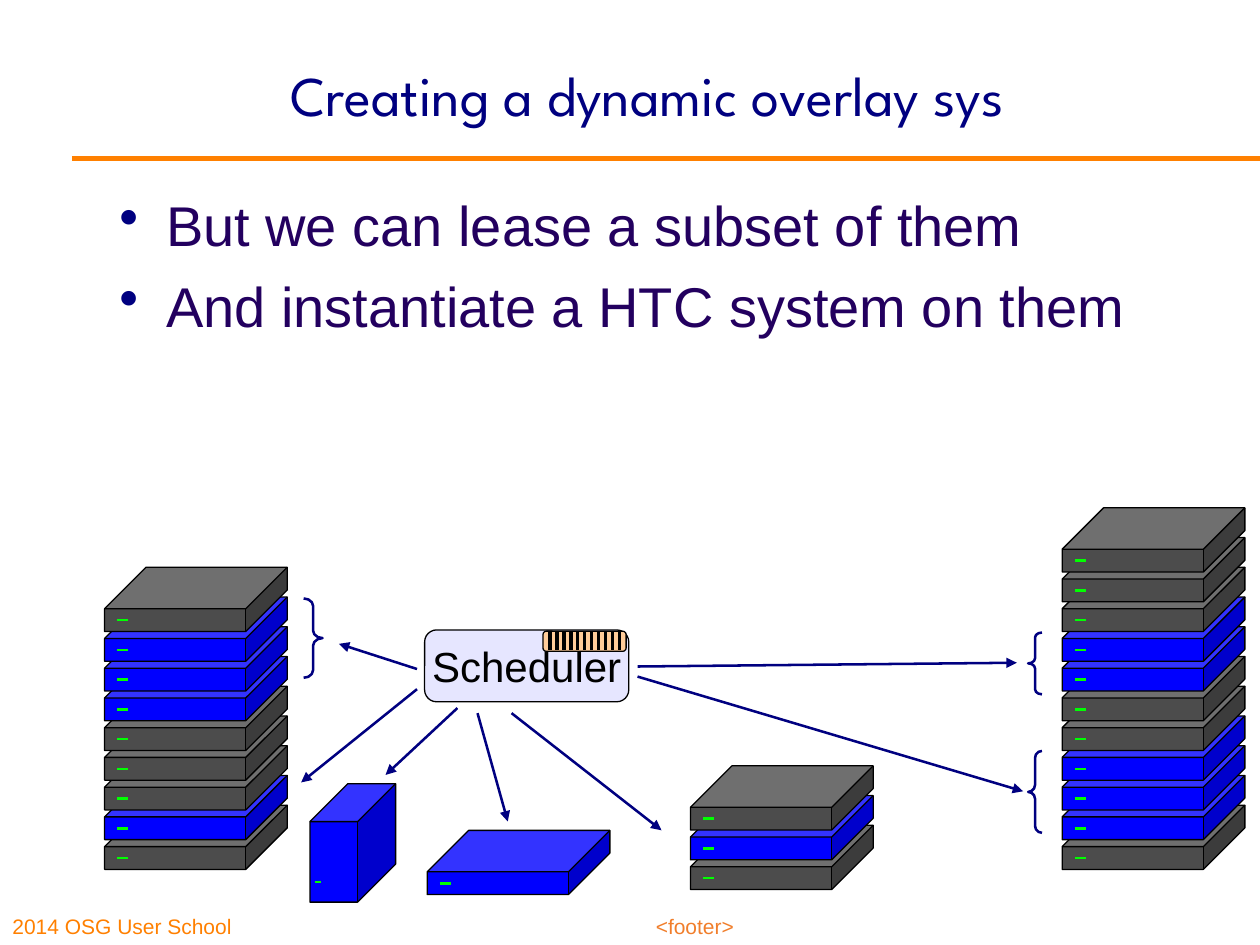
from lxml.etree import SubElement
from pptx import Presentation
from pptx.dml.color import RGBColor
from pptx.enum.shapes import MSO_CONNECTOR, MSO_SHAPE
from pptx.enum.text import MSO_ANCHOR, PP_ALIGN
from pptx.oxml.ns import qn
from pptx.util import Inches, Pt

NAVY, ORANGE, BLACK, GREEN = "000080", "FF8000", "000000", "00FF00"
GRAY, BLUE = "4C4C4C", "0000FF"
STEP = 2.36 / 10


def color(code):
    return RGBColor.from_string(code)


class Page:
    """Draws styled elements on the current slide."""

    def __init__(self, slide):
        self.slide = slide
        self.shapes = slide.shapes

    def label(self, frame, lines, size, tint, face="Arial", align=PP_ALIGN.LEFT,
              anchor=MSO_ANCHOR.TOP, wrap=True, bullet=False):
        frame.word_wrap = wrap
        frame.vertical_anchor = anchor
        for row, line in enumerate(lines):
            para = frame.add_paragraph() if row else frame.paragraphs[0]
            para.text = line
            para.alignment = align
            if row:
                para.space_before = Pt(8)
            if bullet:
                props = para._p.get_or_add_pPr()
                props.set("marL", str(Inches(0.37)))
                props.set("indent", str(Inches(-0.37)))
                mark = SubElement(props, qn("a:buClr"))
                SubElement(mark, qn("a:srgbClr"), val=NAVY)
                SubElement(props, qn("a:buChar"), char="•")
            para.font.size = Pt(size)
            para.font.name = face
            para.font.color.rgb = color(tint)

    def text(self, box, lines, size, tint, **style):
        item = self.shapes.add_textbox(*map(Inches, box))
        self.label(item.text_frame, lines, size, tint, **style)

    def shape(self, kind, box, adjust, fill=None, edge=BLACK, width=0):
        item = self.shapes.add_shape(kind, *map(Inches, box))
        item.shadow.inherit = False
        item.adjustments[0] = adjust
        if fill:
            item.fill.solid()
            item.fill.fore_color.rgb = color(fill)
        else:
            item.fill.background()
        item.line.color.rgb = color(edge)
        item.line.width = Pt(width)
        return item

    def line(self, start, end, tint, width=1.45, arrow=False):
        ends = map(Inches, (*start, *end))
        item = self.shapes.add_connector(MSO_CONNECTOR.STRAIGHT, *ends)
        item.line.color.rgb = color(tint)
        item.line.width = Pt(width)
        if arrow:
            SubElement(item.line._get_or_add_ln(), qn("a:tailEnd"), type="triangle")
        SubElement(item._element.spPr, qn("a:effectLst"))

    def server(self, left, top, fill):
        self.shape(MSO_SHAPE.CUBE, (left, top, 1.45, 0.51), 0.646, fill)
        self.line((left + 0.1, top + 0.42), (left + 0.19, top + 0.42), GREEN)

    def stack(self, left, base, plan):
        for row, mark in enumerate(plan):
            self.server(left, base - row * STEP, BLUE if mark == "B" else GRAY)

    def tower(self, left, top):
        self.shape(MSO_SHAPE.CUBE, (left, top, 0.68, 0.94), 0.443, BLUE)
        self.line((left + 0.04, top + 0.78), (left + 0.09, top + 0.78), GREEN)

    def brace(self, kind, box, adjust):
        self.shape(kind, box, adjust, edge=NAVY, width=1.45)

    def queue(self, left, top, width, height, cells):
        self.shape(MSO_SHAPE.ROUNDED_RECTANGLE, (left, top, width, height),
                   0.167, "FFCC99")
        for cell in range(1, cells):
            spot = left + width * cell / cells
            self.line((spot, top), (spot, top + height - 0.01), BLACK, 0)


def main():
    deck = Presentation()
    deck.slide_width, deck.slide_height = Inches(10), Inches(7.5)
    page = Page(deck.slides.add_slide(deck.slide_layouts[6]))

    page.text((0, 7.08, 2.48, 0.42), ["2014 OSG User School"], 12, ORANGE,
              anchor=MSO_ANCHOR.BOTTOM)
    page.line((0.57, 1.26), (10, 1.26), ORANGE, 3)
    page.text((3.77, 7.2, 3.49, 0.31), ["<footer>"], 12, "F17E2B",
              align=PP_ALIGN.CENTER)
    page.text((1.34, 0.12, 7.6, 1.25), ["Creating a dynamic overlay sys"], 32, NAVY,
              face="League Spartan", align=PP_ALIGN.CENTER, anchor=MSO_ANCHOR.MIDDLE)
    page.text((0.85, 1.46, 8.97, 4.95),
              ["But we can lease a subset of them",
               "And instantiate a HTC system on them"], 32, "23005F", bullet=True)

    page.stack(0.83, 6.39, "GBGGGBBBG")
    page.stack(8.43, 6.39, "GBBBGGBBGGG")
    page.stack(5.48, 6.55, "GBG")
    page.server(3.39, 6.59, BLUE)
    page.tower(2.46, 6.22)

    node = page.shape(MSO_SHAPE.ROUNDED_RECTANGLE, (3.37, 5, 1.62, 0.57),
                      0.167, "E6E6FF")
    page.label(node.text_frame, ["Scheduler"], 24, BLACK, align=PP_ALIGN.CENTER,
               anchor=MSO_ANCHOR.MIDDLE, wrap=False)
    page.queue(4.31, 5.01, 0.66, 0.16, 12)

    page.brace(MSO_SHAPE.RIGHT_BRACE, (2.41, 4.75, 0.15, 0.63), 0.4)
    page.brace(MSO_SHAPE.LEFT_BRACE, (8.16, 5.02, 0.11, 0.49), 0.36)
    page.brace(MSO_SHAPE.LEFT_BRACE, (8.16, 5.96, 0.11, 0.65), 0.5)

    for start, end in (
        ((5.06, 5.29), (8.07, 5.26)),
        ((5.06, 5.37), (8.12, 6.28)),
        ((4.06, 5.66), (5.25, 6.59)),
        ((3.79, 5.66), (4.03, 6.52)),
        ((3.63, 5.62), (3.06, 6.15)),
        ((3.31, 5.47), (2.39, 6.21)),
        ((3.31, 5.31), (2.69, 5.11)),
    ):
        page.line(start, end, NAVY, arrow=True)

    deck.save("out.pptx")


if __name__ == "__main__":
    main()
